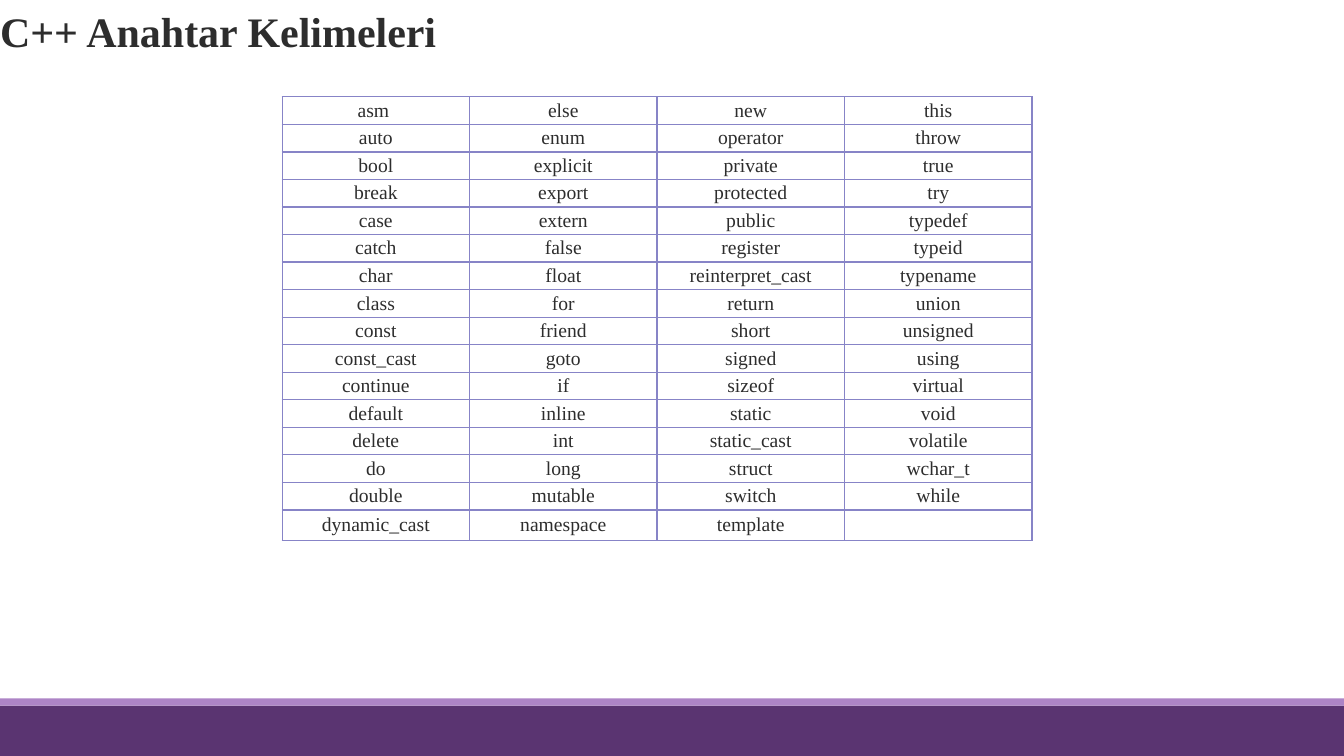
"""Build a slide that lists the C++ keywords in a four-column table."""
from lxml import etree
from pptx import Presentation
from pptx.dml.color import RGBColor
from pptx.enum import shapes, text
from pptx.oxml import ns
from pptx.util import Cm, Pt

PURPLE = RGBColor(0x5A, 0x34, 0x71)
LILAC = RGBColor(0xAD, 0x84, 0xC6)
BORDER = RGBColor(0x87, 0x84, 0xC7)
INK = RGBColor(0x2D, 0x2D, 0x2D)

KEYWORDS = [
    ["asm ", "auto", "bool", "break", "case", "catch", "char", "class",
     "const", "const_cast", "continue", "default", "delete", "do", "double",
     "dynamic_cast"],
    ["else", "enum", "explicit", "export", "extern", "false", "float", "for",
     "friend", "goto", "if", "inline", "int", "long", "mutable", "namespace"],
    ["new", "operator", "private", "protected", "public", "register",
     "reinterpret_cast", "return", "short", "signed", "sizeof", "static",
     "static_cast", "struct", "switch", "template"],
    ["this", "throw", "true", "try", "typedef", "typeid", "typename", "union",
     "unsigned", "using", "virtual", "void", "volatile", "wchar_t", "while",
     ""],
]


def add_text(p, words, size, bold, align):
    p.alignment = align
    r = p.add_run()
    r.text = words
    font = {"name": "Times New Roman", "size": Pt(size), "bold": bold}
    for name, value in font.items():
        setattr(r.font, name, value)
    r.font.color.rgb = INK


def add_borders(cell):
    tc_pr = cell._tc.get_or_add_tcPr()
    for side in ("a:lnL", "a:lnR", "a:lnT", "a:lnB"):
        ln = etree.SubElement(tc_pr, ns.qn(side), w=str(Pt(1)))
        fill = etree.SubElement(ln, ns.qn("a:solidFill"))
        etree.SubElement(fill, ns.qn("a:srgbClr"), val=str(BORDER))


prs = Presentation()
prs.slide_width = Cm(33.87)
prs.slide_height = Cm(19.05)
s = prs.slides.add_slide(prs.slide_layouts[5])

for top, height, color in ((17.78, 1.27, PURPLE), (17.6, 0.18, LILAC)):
    sp = s.shapes.add_shape(shapes.MSO_SHAPE.RECTANGLE, 0, Cm(top),
                            prs.slide_width, Cm(height))
    sp.shadow.inherit = False
    sp.fill.solid()
    sp.fill.fore_color.rgb = color
    sp.line.fill.background()

title = s.shapes.title
title_box = {"left": 0, "top": 0, "width": prs.slide_width, "height": Cm(1.73)}
for name, value in title_box.items():
    setattr(title, name, value)
tf = title.text_frame
frame = {"margin_left": 0, "margin_right": 0, "margin_top": Cm(0.13),
         "margin_bottom": Cm(0.13), "word_wrap": True,
         "vertical_anchor": text.MSO_ANCHOR.MIDDLE,
         "auto_size": text.MSO_AUTO_SIZE.NONE}
for name, value in frame.items():
    setattr(tf, name, value)
p = tf.paragraphs[0]
p.line_spacing = 0.9
p.space_after = Pt(2)
add_text(p, "C++ Anahtar Kelimeleri", 30, True, text.PP_ALIGN.LEFT)

table = s.shapes.add_table(len(KEYWORDS[0]), len(KEYWORDS), Cm(7.11), Cm(2.44),
                           Cm(18.9), Cm(11.12)).table
table.first_row = False
table.horz_banding = False
cell_format = {"margin_left": Cm(0.03), "margin_right": Cm(0.03),
               "margin_top": Cm(0.03), "margin_bottom": Cm(0.03),
               "vertical_anchor": text.MSO_ANCHOR.MIDDLE}
for col, words in enumerate(KEYWORDS):
    for row, word in enumerate(words):
        cell = table.cell(row, col)
        for name, value in cell_format.items():
            setattr(cell, name, value)
        add_borders(cell)
        cell.fill.background()
        add_text(cell.text_frame.paragraphs[0], word, 14, False,
                 text.PP_ALIGN.CENTER)

prs.save("out.pptx")
